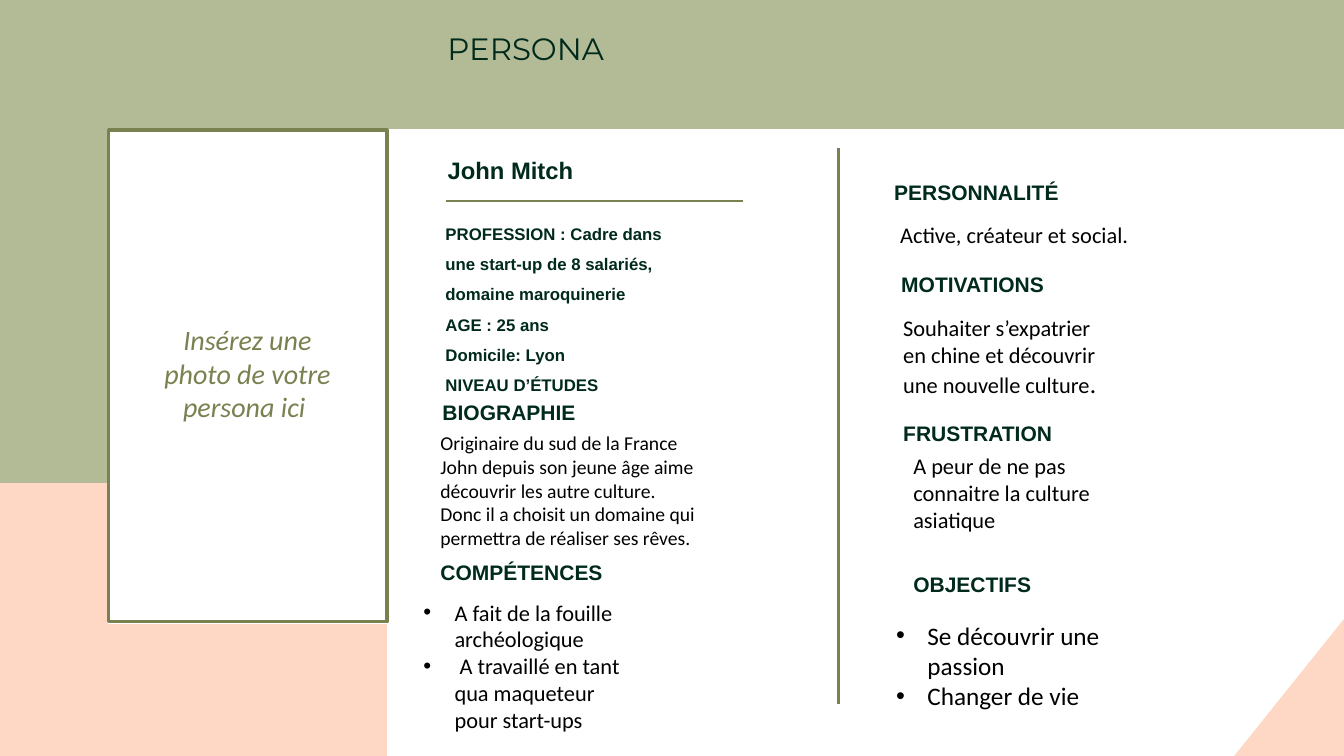
import pptx
import pptx.dml.color
import pptx.enum.shapes
import pptx.enum.text
import pptx.oxml.ns
import pptx.util
from dataclasses import dataclass
from lxml import etree

Inches = pptx.util.Inches
Pt = pptx.util.Pt
SHAPE = pptx.enum.shapes.MSO_SHAPE
qn = pptx.oxml.ns.qn


def rgb(value):
    return pptx.dml.color.RGBColor.from_string(value)


@dataclass(frozen=True)
class Theme:
    sage: str = "B3BB96"
    peach: str = "FED8C5"
    olive: str = "798151"
    dark: str = "002A1B"
    black: str = "000000"
    heading_font: str = "Arial"
    body_font: str = "Calibri"
    title_font: str = "Montserrat"
    title: int = 22
    prompt: int = 20
    goal: int = 18
    name: int = 17
    body: int = 16
    heading: int = 15
    biography: int = 14
    profile: int = 12


def add_run(p, text, *, font, size, color, bold=False, italic=False):
    r = p.add_run()
    r.text = text
    r.font.name = font
    r.font.size = Pt(size)
    r.font.color.rgb = rgb(color)
    r.font.bold = bold
    r.font.italic = italic


def add_bullet(p, indent=0.31):
    pPr = p._p.get_or_add_pPr()
    pPr.set("marL", str(Inches(indent)))
    pPr.set("indent", str(-Inches(indent)))
    etree.SubElement(pPr, qn("a:buFont")).set("typeface", "Arial")
    etree.SubElement(pPr, qn("a:buChar")).set("char", "•")


class PersonaSlide:
    def __init__(self, prs, theme):
        self.theme = theme
        self.s = prs.slides.add_slide(prs.slide_layouts[6])

    def shape(self, kind, box, line, width=1, fill=None, rotation=0, adjustments=()):
        sp = self.s.shapes.add_shape(kind, *map(Inches, box))
        sp.shadow.inherit = False
        sp.rotation = rotation
        for i, value in enumerate(adjustments):
            sp.adjustments[i] = value
        if fill:
            sp.fill.solid()
            sp.fill.fore_color.rgb = rgb(fill)
        else:
            sp.fill.background()
        sp.line.color.rgb = rgb(line)
        sp.line.width = Pt(width)
        return sp

    def line(self, start, end, width):
        ends = map(Inches, (*start, *end))
        sp = self.s.shapes.add_connector(pptx.enum.shapes.MSO_CONNECTOR.STRAIGHT, *ends)
        sp.line.color.rgb = rgb(self.theme.olive)
        sp.line.width = Pt(width)
        etree.SubElement(sp._element.spPr, qn("a:effectLst"))
        return sp

    def text(self, box, paragraphs, *, bullets=False, spacing=None, after=None,
             left_indent=0, align=None, **style):
        sp = self.s.shapes.add_textbox(*map(Inches, box))
        tf = sp.text_frame
        tf.word_wrap = True
        tf.auto_size = pptx.enum.text.MSO_AUTO_SIZE.SHAPE_TO_FIT_TEXT
        for i, text in enumerate(paragraphs):
            p = tf.paragraphs[0] if i == 0 else tf.add_paragraph()
            p.alignment = align
            if spacing:
                p.line_spacing = spacing
            if after:
                p.space_after = Pt(after)
            if left_indent:
                p._p.get_or_add_pPr().set("marL", str(Inches(left_indent)))
            if bullets:
                add_bullet(p)
            add_run(p, text, **style)
        return tf

    def heading(self, left, top, text):
        t = self.theme
        self.text((left, top, 2.88, 0.35), [text],
                  font=t.heading_font, size=t.heading, color=t.dark, bold=True)

    def body(self, box, paragraphs, size=None, **layout):
        t = self.theme
        return self.text(box, paragraphs, font=t.body_font, size=size or t.body,
                         color=t.black, **layout)


def main():
    prs = pptx.Presentation()
    prs.slide_width = Inches(13.33)
    prs.slide_height = Inches(7.5)
    t = Theme()
    persona = PersonaSlide(prs, t)

    persona.shape(SHAPE.CORNER, (0, 4.78, 3.83, 2.72), t.peach, fill=t.peach,
                  adjustments=(0.48, 0.39))
    persona.shape(SHAPE.CORNER, (-1.34, 1.34, 4.78, 2.11), t.sage, fill=t.sage,
                  rotation=90, adjustments=(0.5, 0.6))
    persona.shape(SHAPE.RECTANGLE, (2.11, 0, 11.22, 1.27), t.sage, fill=t.sage)
    persona.shape(SHAPE.RECTANGLE, (1.08, 1.29, 2.76, 4.88), t.olive, width=2.25)
    persona.shape(SHAPE.RIGHT_TRIANGLE, (12.11, 6.28, 1.36, 1.09), t.peach,
                  fill=t.peach, rotation=270)
    persona.line((4.42, 1.99), (7.37, 1.99), 1.5)
    persona.line((8.32, 1.47), (8.32, 6.98), 2.25)

    tf = persona.text((4.34, 0.25, 3.36, 0.47), ["PERSONA"],
                      font=t.title_font, size=t.title, color=t.dark)
    add_run(tf.paragraphs[0], " ", font=t.body_font, size=t.prompt, color=t.dark)
    persona.text((1.39, 3.15, 2.13, 1.11), ["Insérez une photo de votre persona ici "],
                 font=t.body_font, size=t.prompt, color=t.olive, italic=True,
                 align=pptx.enum.text.PP_ALIGN.CENTER)
    persona.text((4.34, 1.5, 2.88, 0.39), ["John Mitch"],
                 font=t.heading_font, size=t.name, color=t.dark, bold=True)
    persona.text((4.32, 2.07, 2.61, 1.88),
                 ["PROFESSION : Cadre dans une start-up de 8 salariés, domaine maroquinerie",
                  "AGE : 25 ans", "Domicile: Lyon", "NIVEAU D’ÉTUDES"],
                 font=t.heading_font, size=t.profile, color=t.dark, bold=True, spacing=1.5)

    for left, top, text in (
        (4.29, 3.91, "BIOGRAPHIE"),
        (4.27, 5.5, "COMPÉTENCES"),
        (8.77, 1.73, "PERSONNALITÉ"),
        (8.84, 2.64, "MOTIVATIONS"),
        (8.86, 4.12, "FRUSTRATION"),
        (8.96, 5.62, "OBJECTIFS"),
    ):
        persona.heading(left, top, text)

    persona.body((4.27, 4.23, 2.93, 1.28),
                 ["Originaire du sud de la France John depuis son jeune âge aime "
                  "découvrir les autre culture.",
                  "Donc il a choisit un domaine qui permettra de réaliser ses rêves."],
                 size=t.biography)
    persona.body((4.1, 5.89, 2.25, 1.45),
                 ["A fait de la fouille archéologique",
                  " A travaillé en tant qua maqueteur pour start-ups"], bullets=True)
    persona.body((8.53, 2.1, 4.13, 0.39), [" Active, créateur et social."],
                 left_indent=0.25, spacing=1.15, after=10)
    tf = persona.body((8.86, 3.07, 2.19, 0.94),
                      ["Souhaiter s’expatrier en chine et découvrir une nouvelle culture"])
    add_run(tf.paragraphs[0], ".", font=t.body_font, size=t.goal, color=t.black)
    persona.body((8.96, 4.44, 2.12, 0.91),
                 ["A peur de ne pas connaitre la culture asiatique"])
    persona.body((8.79, 6.1, 2.33, 1.01),
                 ["Se découvrir une passion", "Changer de vie"],
                 size=t.goal, bullets=True)

    prs.save("out.pptx")


if __name__ == "__main__":
    main()
